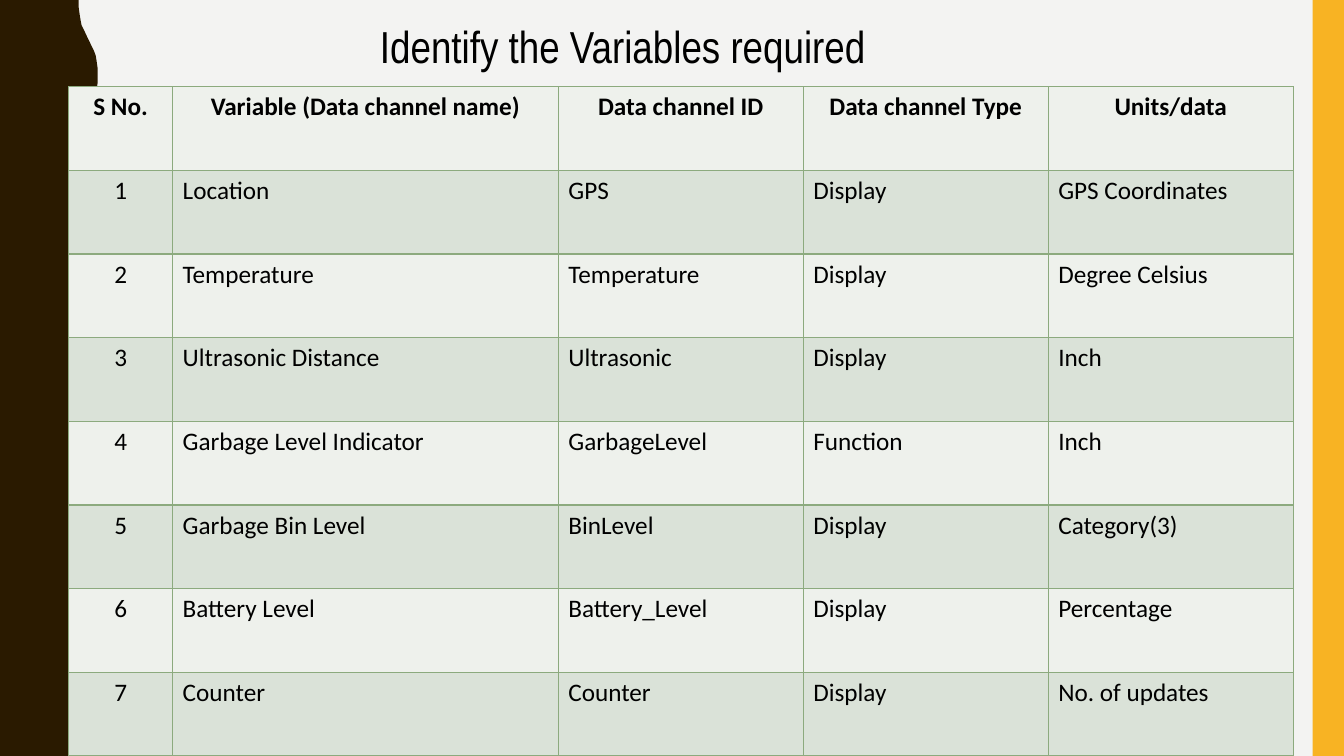
import dataclasses
import typing

import pptx
import pptx.dml.color
import pptx.enum.shapes
import pptx.enum.text
import pptx.oxml
import pptx.oxml.ns
import pptx.util

Pt = pptx.util.Pt
RGBColor = pptx.dml.color.RGBColor
PP_ALIGN = pptx.enum.text.PP_ALIGN

BACKGROUND = RGBColor(0xF3, 0xF3, 0xF2)
BROWN = RGBColor(0x2A, 0x1A, 0x00)
YELLOW = RGBColor(0xF8, 0xB3, 0x23)
BLACK = RGBColor(0x00, 0x00, 0x00)
LIGHT_ROW = RGBColor(0xEE, 0xF1, 0xEC)
DARK_ROW = RGBColor(0xDA, 0xE2, 0xD8)
BORDER = RGBColor(0x8C, 0xAA, 0x7E)

PAGE_WIDTH, PAGE_HEIGHT = 960, 540
WAVE_COUNT, WAVE_LENGTH = 5, 108
# Right edge of the wave over its first half, as (x, y)
HALF_WAVE = [
    (56.2, 0), (56.2, 5), (56.9, 10), (57.6, 14.4), (58.3, 18),
    (59.8, 21), (61.2, 24), (62.6, 27), (64.1, 30), (65.5, 33),
    (67, 36), (68.4, 39.6), (69.1, 44), (69.8, 49), (69.8, 54),
]
COLUMN_WIDTHS = [74.3, 275.5, 175, 175, 175]
ROW_HEIGHT = 59.76
TABLE_LEFT, TABLE_TOP = 49, 61.92


@dataclasses.dataclass
class Variable:
    name: str
    channel_id: str
    channel_type: str
    units: str


HEADINGS = ["S No.", "Variable (Data channel name)", "Data channel ID",
            "Data channel Type", "Units/data"]
VARIABLES = [
    Variable("Location", "GPS", "Display", "GPS Coordinates"),
    Variable("Temperature", "Temperature", "Display", "Degree Celsius"),
    Variable("Ultrasonic Distance", "Ultrasonic", "Display", "Inch"),
    Variable("Garbage Level Indicator", "GarbageLevel", "Function", "Inch"),
    Variable("Garbage Bin Level", "BinLevel", "Display", "Category(3)"),
    Variable("Battery Level", "Battery_Level", "Display", "Percentage"),
    Variable("Counter", "Counter", "Display", "No. of updates"),
]


def apply_format(target: typing.Any, values: dict[str, typing.Any]) -> None:
    for name, value in values.items():
        setattr(target, name, value)


def paint(shape: typing.Any, color: RGBColor) -> None:
    shape.shadow.inherit = False
    shape.fill.solid()
    shape.fill.fore_color.rgb = color
    shape.line.fill.background()


def write(para: typing.Any, text: str, align: typing.Any,
          font_values: dict[str, typing.Any]) -> None:
    para.alignment = align
    span = para.add_run()
    span.text = text
    apply_format(span.font, font_values)
    span.font.color.rgb = BLACK


def add_wave(page: typing.Any) -> None:
    mirrored = [(x, WAVE_LENGTH - y) for x, y in reversed(HALF_WAVE[:-1])]
    edge = [(x, y + wave * WAVE_LENGTH) for wave in range(WAVE_COUNT)
            for x, y in HALF_WAVE + mirrored]
    outline = page.shapes.build_freeform(0, 0, scale=1.0)
    corners = edge + [(0, PAGE_HEIGHT)]
    outline.add_line_segments([(Pt(x), Pt(y)) for x, y in corners], close=True)
    paint(outline.convert_to_shape(), BROWN)


def add_title(page: typing.Any, text: str) -> None:
    title = page.shapes.title
    apply_format(title, {"left": Pt(264.2), "top": Pt(9.4),
                         "width": Pt(432), "height": Pt(46)})
    apply_format(title.text_frame, {
        "word_wrap": True,
        "auto_size": pptx.enum.text.MSO_AUTO_SIZE.NONE,
        "vertical_anchor": pptx.enum.text.MSO_ANCHOR.TOP,
    })
    write(title.text_frame.paragraphs[0], text, PP_ALIGN.LEFT,
          {"name": "Arial Narrow", "size": Pt(32), "bold": False})


def add_borders(cell: typing.Any) -> None:
    properties = cell._tc.get_or_add_tcPr()
    for side in ("lnL", "lnR", "lnT", "lnB"):
        properties.append(pptx.oxml.parse_xml(
            f'<a:{side} {pptx.oxml.ns.nsdecls("a")} w="{Pt(1)}"><a:solidFill>'
            f'<a:srgbClr val="{BORDER}"/></a:solidFill></a:{side}>'))


def add_variable_table(page: typing.Any) -> None:
    rows = [HEADINGS] + [[str(number), *dataclasses.astuple(variable)]
                         for number, variable in enumerate(VARIABLES, 1)]
    table = page.shapes.add_table(
        len(rows), len(HEADINGS), Pt(TABLE_LEFT), Pt(TABLE_TOP),
        Pt(sum(COLUMN_WIDTHS)), Pt(ROW_HEIGHT * len(rows))).table
    for column, width in zip(table.columns, COLUMN_WIDTHS):
        column.width = Pt(width)
    for row_index, texts in enumerate(rows):
        table.rows[row_index].height = Pt(ROW_HEIGHT)
        for column_index, text in enumerate(texts):
            cell = table.cell(row_index, column_index)
            add_borders(cell)
            cell.fill.solid()
            cell.fill.fore_color.rgb = DARK_ROW if row_index % 2 else LIGHT_ROW
            centred = row_index == 0 or column_index == 0
            write(cell.text_frame.paragraphs[0], text,
                  PP_ALIGN.CENTER if centred else PP_ALIGN.LEFT,
                  {"name": "Calibri", "size": Pt(18), "bold": row_index == 0})


def main() -> None:
    deck = pptx.Presentation()
    apply_format(deck, {"slide_width": Pt(PAGE_WIDTH),
                        "slide_height": Pt(PAGE_HEIGHT)})
    page = deck.slides.add_slide(deck.slide_layouts.get_by_name("Title Only"))

    # Background and side bands
    page.background.fill.solid()
    page.background.fill.fore_color.rgb = BACKGROUND
    add_wave(page)
    band = page.shapes.add_shape(
        pptx.enum.shapes.MSO_SHAPE.RECTANGLE,
        Pt(937.6), Pt(0), Pt(22.4), Pt(PAGE_HEIGHT))
    paint(band, YELLOW)

    # Title and table
    add_title(page, "Identify the Variables required")
    add_variable_table(page)
    deck.save("out.pptx")


if __name__ == "__main__":
    main()
